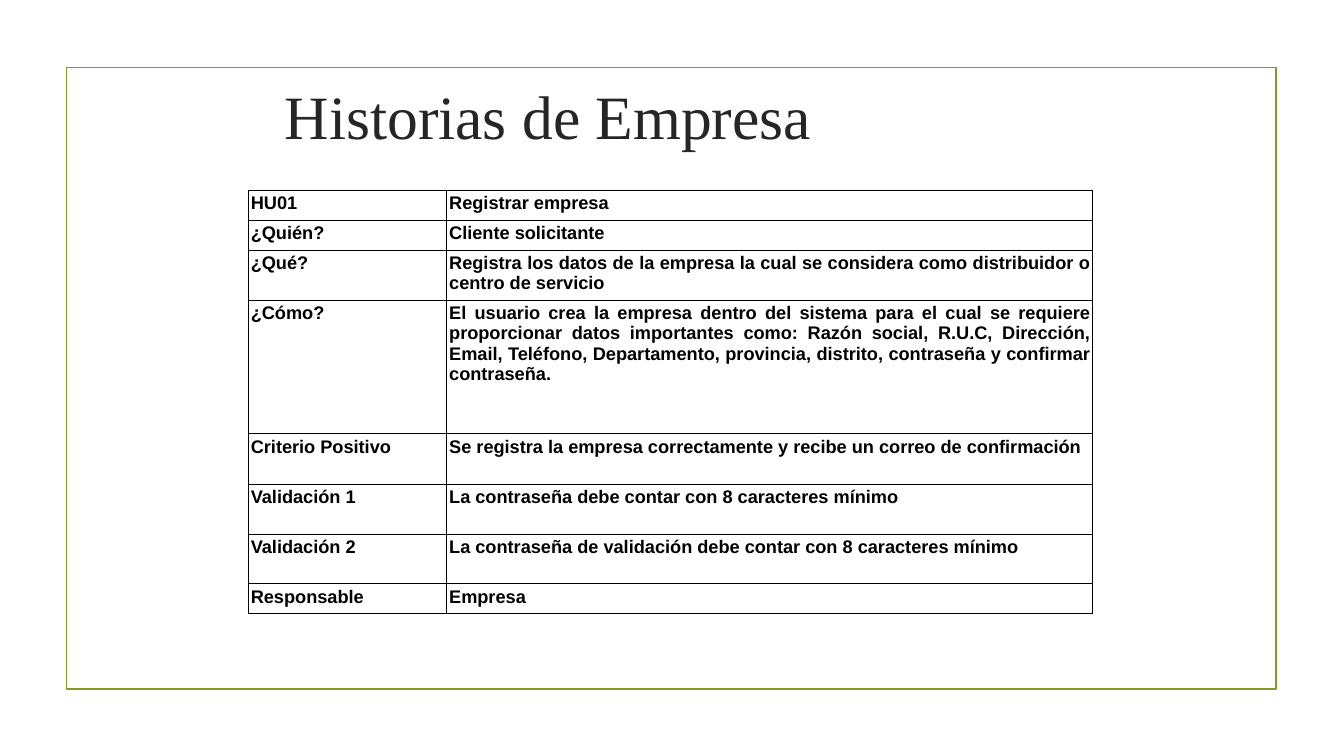
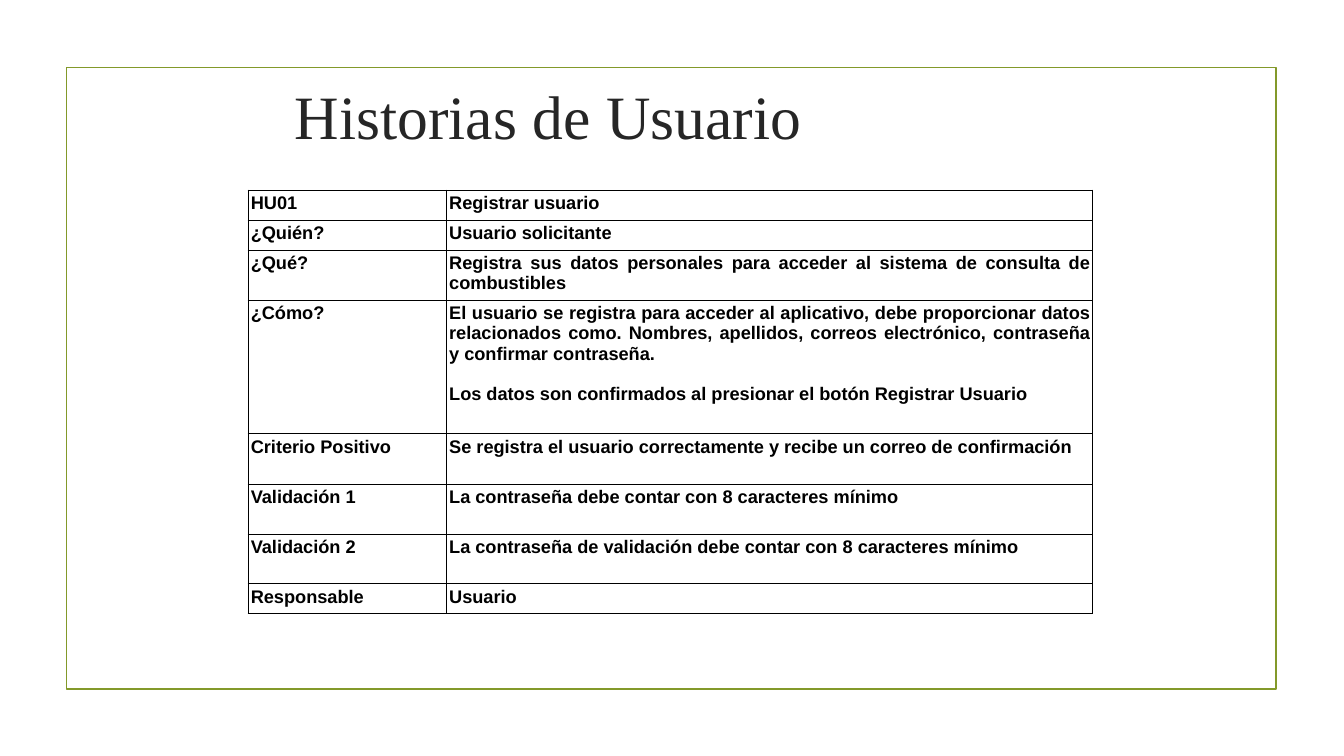
"""Build two user-story slides, each a framed title above a story table."""
from dataclasses import dataclass

from lxml.etree import SubElement
from pptx import Presentation
from pptx.dml.color import RGBColor
from pptx.enum.shapes import MSO_SHAPE
from pptx.enum.text import PP_ALIGN
from pptx.oxml.ns import qn
from pptx.slide import Slide
from pptx.table import _Cell
from pptx.text.text import _Paragraph
from pptx.util import Cm, Pt

GREEN, DARK, BLACK = "83992A", "262626", "000000"
LABELS = (
    "HU01",
    "¿Quién?",
    "¿Qué?",
    "¿Cómo?",
    "Criterio Positivo",
    "Validación 1",
    "Validación 2",
    "Responsable",
)
COLUMN_WIDTHS = (5, 16.28)
ROW_HEIGHTS = (0.76, 0.76, 1.26, 3.36, 1.28, 1.26, 1.24, 0.76)
TABLE_LEFT, TABLE_TOP = 6.25, 4.79


@dataclass(frozen=True)
class Story:
    """A slide title and the table answers, one for each label."""

    title: str
    answers: tuple[str, ...]


STORIES = (
    Story(
        "Historias de Empresa",
        (
            "Registrar empresa",
            "Cliente solicitante",
            "Registra los datos de la empresa la cual se considera como distribuidor o centro de servicio",
            "El usuario crea la empresa dentro del sistema para el cual se requiere proporcionar datos "
            "importantes como: Razón social, R.U.C, Dirección, Email, Teléfono, Departamento, provincia, "
            "distrito, contraseña y confirmar contraseña.",
            "Se registra la empresa correctamente y recibe un correo de confirmación",
            "La contraseña debe contar con 8 caracteres mínimo",
            "La contraseña de validación debe contar con 8 caracteres mínimo",
            "Empresa",
        ),
    ),
    Story(
        "Historias de Usuario",
        (
            "Registrar usuario",
            "Usuario solicitante",
            "Registra sus datos personales para acceder al sistema de consulta de combustibles",
            "El usuario se registra para acceder al aplicativo, debe proporcionar datos relacionados como. "
            "Nombres, apellidos, correos electrónico, contraseña y confirmar contraseña.\n"
            "Los datos son confirmados al presionar el botón Registrar Usuario",
            "Se registra el usuario correctamente y recibe un correo de confirmación",
            "La contraseña debe contar con 8 caracteres mínimo",
            "La contraseña de validación debe contar con 8 caracteres mínimo",
            "Usuario",
        ),
    ),
)


def color(value: str) -> RGBColor:
    """Turn a hex string into a colour."""
    return RGBColor.from_string(value)


def format_paragraph(
    paragraph: _Paragraph, align: PP_ALIGN, font: str, size: float, ink: str, bold: bool = False
) -> None:
    """Align a paragraph and style its runs."""
    paragraph.alignment = align
    for span in paragraph.runs:
        span.font.name = font
        span.font.size = Pt(size)
        span.font.bold = bold
        span.font.color.rgb = color(ink)


def add_frame(page: Slide) -> None:
    """Draw the green outline around the page."""
    frame = page.shapes.add_shape(MSO_SHAPE.RECTANGLE, Cm(1.68), Cm(1.7), Cm(30.48), Cm(15.67))
    frame.shadow.inherit = False
    frame.fill.background()
    frame.line.color.rgb = color(GREEN)
    frame.line.width = Pt(1.25)


def add_title(page: Slide, title: str) -> None:
    """Write the centred slide title."""
    box = page.shapes.add_textbox(Cm(1.88), Cm(1.7), Cm(23.88), Cm(3.66))
    text_frame = box.text_frame
    text_frame.word_wrap = True
    text_frame.margin_top = Cm(0.27)
    text_frame.text = title
    format_paragraph(text_frame.paragraphs[0], PP_ALIGN.CENTER, "Times New Roman", 44, DARK)


def outline_cell(cell: _Cell) -> None:
    """Give a cell thin black borders on all sides."""
    properties = cell._tc.get_or_add_tcPr()
    for side in ("a:lnL", "a:lnR", "a:lnT", "a:lnB"):
        border = SubElement(properties, qn(side), w=str(Pt(0.75)))
        fill = SubElement(border, qn("a:solidFill"))
        SubElement(fill, qn("a:srgbClr"), val=BLACK)


def fill_cell(cell: _Cell, text: str) -> None:
    """Write justified bold text into a bordered, unfilled cell."""
    outline_cell(cell)
    cell.fill.background()
    cell.margin_left = cell.margin_right = cell.margin_top = cell.margin_bottom = Cm(0.07)
    cell.text_frame.text = text
    for index, paragraph in enumerate(cell.text_frame.paragraphs):
        format_paragraph(paragraph, PP_ALIGN.JUSTIFY, "Arial", 13, BLACK, bold=True)
        if index:
            paragraph.space_before = Pt(14.5)


def add_story_table(page: Slide, answers: tuple[str, ...]) -> None:
    """Add the table of labels and answers."""
    table = page.shapes.add_table(
        len(LABELS),
        len(COLUMN_WIDTHS),
        Cm(TABLE_LEFT),
        Cm(TABLE_TOP),
        Cm(sum(COLUMN_WIDTHS)),
        Cm(sum(ROW_HEIGHTS)),
    ).table
    table.first_row = table.horz_banding = False
    for column, width in zip(table.columns, COLUMN_WIDTHS):
        column.width = Cm(width)
    for row, height, texts in zip(table.rows, ROW_HEIGHTS, zip(LABELS, answers)):
        row.height = Cm(height)
        for cell, text in zip(row.cells, texts):
            fill_cell(cell, text)


def main() -> None:
    """Build and save the deck."""
    deck = Presentation()
    deck.slide_width, deck.slide_height = Cm(33.87), Cm(19.05)
    for story in STORIES:
        page = deck.slides.add_slide(deck.slide_layouts[6])
        add_frame(page)
        add_title(page, story.title)
        add_story_table(page, story.answers)
    deck.save("out.pptx")


if __name__ == "__main__":
    main()
